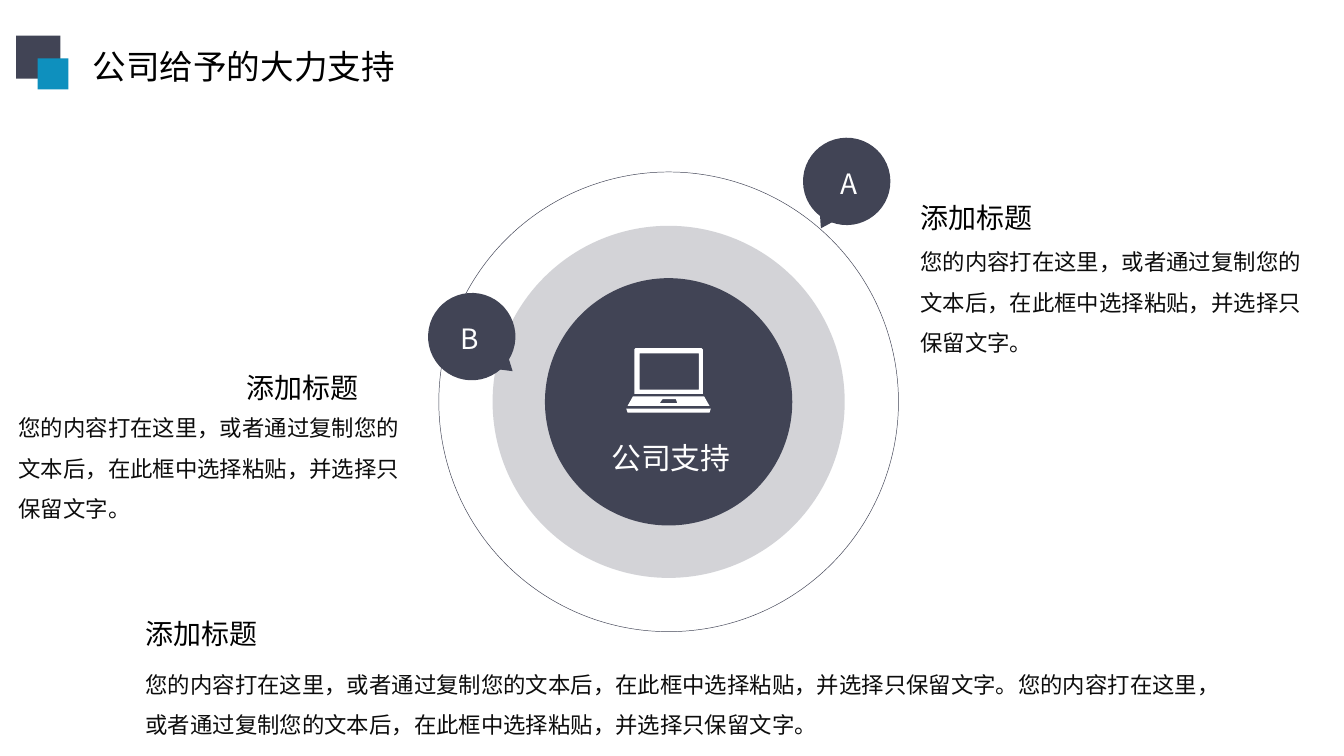
import math

import pptx
import pptx.dml.color
import pptx.enum.shapes
import pptx.oxml.ns
import pptx.util
from lxml import etree

# The slide is a 16:9 grid of 100 columns by 56.25 rows of square cells
CELL = 0.1
COLUMNS, ROWS = 100, 56.25
FONT = "Noto Sans CJK SC"
COLORS = {
    "navy": "414455",
    "blue": "0E90BE",
    "white": "FFFFFF",
    "title": "000000",
    "body": "0D0D0D",
}
KIND = pptx.enum.shapes.MSO_SHAPE

CENTER = (49.75, 29.9)
HEADING = "添加标题"
SENTENCE = "您的内容打在这里，或者通过复制您的文本后，在此框中选择粘贴，并选择只保留文字。"

# Laptop outlines in hundredths of an inch from the icon's corner
LAPTOP_OUTLINES = [
    [(6, 1), (7, 0), (56, 0), (57, 1), (57, 34), (6, 34)],  # lid
    [(10, 4), (54, 4), (54, 31), (10, 31)],  # screen
    [(58, 36), (5, 36), (1, 43), (62, 43)],  # keyboard
    [(25, 41), (27, 38), (37, 38), (38, 41)],  # touchpad
    [(0, 45), (63, 45), (62, 48), (1, 48)],  # front edge
]


def cells(count):
    return pptx.util.Inches(count * CELL)


def rgb(name):
    return pptx.dml.color.RGBColor.from_string(COLORS[name])


def paint(shape, fill=None, line=None, opacity=None):
    shape.shadow.inherit = False
    if fill:
        shape.fill.solid()
        shape.fill.fore_color.rgb = rgb(fill)
    else:
        shape.fill.background()
    if opacity is not None:
        color = shape.fill._xPr.find(".//" + pptx.oxml.ns.qn("a:srgbClr"))
        alpha = etree.SubElement(color, pptx.oxml.ns.qn("a:alpha"))
        alpha.set("val", str(opacity * 1000))
    if line:
        shape.line.color.rgb = rgb(line)
        shape.line.width = pptx.util.Pt(0.25)
    else:
        shape.line.fill.background()


def add_block(slide, kind, left, top, width, height, rotation=0, **look):
    block = slide.shapes.add_shape(
        kind, cells(left), cells(top), cells(width), cells(height))
    block.rotation = rotation
    paint(block, **look)
    return block


def add_centered(slide, kind, center, width, height, **look):
    left, top = center[0] - width / 2, center[1] - height / 2
    return add_block(slide, kind, left, top, width, height, **look)


def add_text(slide, text, left, top, width, height, size=15,
             color="title", spacing=None):
    box = slide.shapes.add_textbox(
        cells(left), cells(top), cells(width), cells(height))
    box.text_frame.word_wrap = True
    paragraph = box.text_frame.paragraphs[0]
    if spacing:
        paragraph.line_spacing = spacing
    run = paragraph.add_run()
    run.text = text
    run.font.size = pptx.util.Pt(size)
    run.font.color.rgb = rgb(color)
    run.font.name = FONT
    east_asian = etree.SubElement(
        run.font._element, pptx.oxml.ns.qn("a:ea"))
    east_asian.set("typeface", FONT)
    return box


def add_note(slide, text, heading_at, body_at, heading_width=10.4,
             body_size=(31.3, 9.7)):
    add_text(slide, text, *body_at, *body_size,
             size=12, color="body", spacing=1.5)
    add_text(slide, HEADING, *heading_at, heading_width, 3.5)


def add_badge(slide, letter, center, tail_angle, letter_left, letter_width):
    """Round marker whose tail points along tail_angle, clockwise from up."""
    add_centered(slide, KIND.FLOWCHART_CONNECTOR, center, 6.5, 6.5,
                 rotation=tail_angle - 187.3, fill="navy")
    angle = math.radians(tail_angle)
    tail = (center[0] + 3.28 * math.sin(angle),
            center[1] - 3.28 * math.cos(angle))
    add_centered(slide, KIND.ISOSCELES_TRIANGLE, tail, 1.8, 1.4,
                 rotation=tail_angle, fill="navy")
    label = add_text(slide, letter, letter_left, center[1] - 1.6,
                     letter_width, 3.5, color="white")
    label.fill.solid()
    label.fill.fore_color.rgb = rgb("navy")


def add_laptop(slide, left, top):
    first, *others = LAPTOP_OUTLINES
    builder = slide.shapes.build_freeform(
        *first[0], scale=pptx.util.Inches(0.01))
    builder.add_line_segments(first[1:], close=True)
    for outline in others:
        builder.move_to(*outline[0])
        builder.add_line_segments(outline[1:], close=True)
    paint(builder.convert_to_shape(cells(left), cells(top)), fill="white")


def main():
    deck = pptx.Presentation()
    deck.slide_width, deck.slide_height = cells(COLUMNS), cells(ROWS)
    slide = deck.slides.add_slide(deck.slide_layouts[6])

    # Rings around the hub
    add_centered(slide, KIND.OVAL, CENTER, 26.2, 26.2,
                 fill="navy", opacity=23)
    add_centered(slide, KIND.OVAL, CENTER, 34.2, 34.2, line="navy")

    # Side notes
    add_note(slide, SENTENCE, (67.5, 14.4), (67.5, 17))
    add_note(slide, SENTENCE, (17.35, 27.1), (0.4, 29.35))

    # Hub with laptop and caption
    add_centered(slide, KIND.OVAL, CENTER, 18.4, 18.4, fill="navy")
    add_laptop(slide, 46.6, 25.9)
    add_text(slide, "公司支持", 44.5, 32.25, 11, 3.7, size=16, color="white")

    # Lettered badges
    add_badge(slide, "A", (63, 13.5), 208.8, 61.55, 3.6)
    add_badge(slide, "B", (35.1, 25.05), 130.2, 33.3, 3.3)

    # Bottom note
    add_note(slide, SENTENCE * 2, (9.85, 45.4), (9.85, 48.45),
             heading_width=15.9, body_size=(83.5, 12.8))

    # Slide title with its two squares
    add_text(slide, "公司给予的大力支持", 5.9, 2.9, 24.7, 4, size=18)
    add_block(slide, KIND.RECTANGLE, 1.2, 2.65, 3.3, 3.2, fill="navy")
    add_block(slide, KIND.RECTANGLE, 2.8, 4.35, 2.3, 2.3, fill="blue")

    deck.save("out.pptx")


if __name__ == "__main__":
    main()
